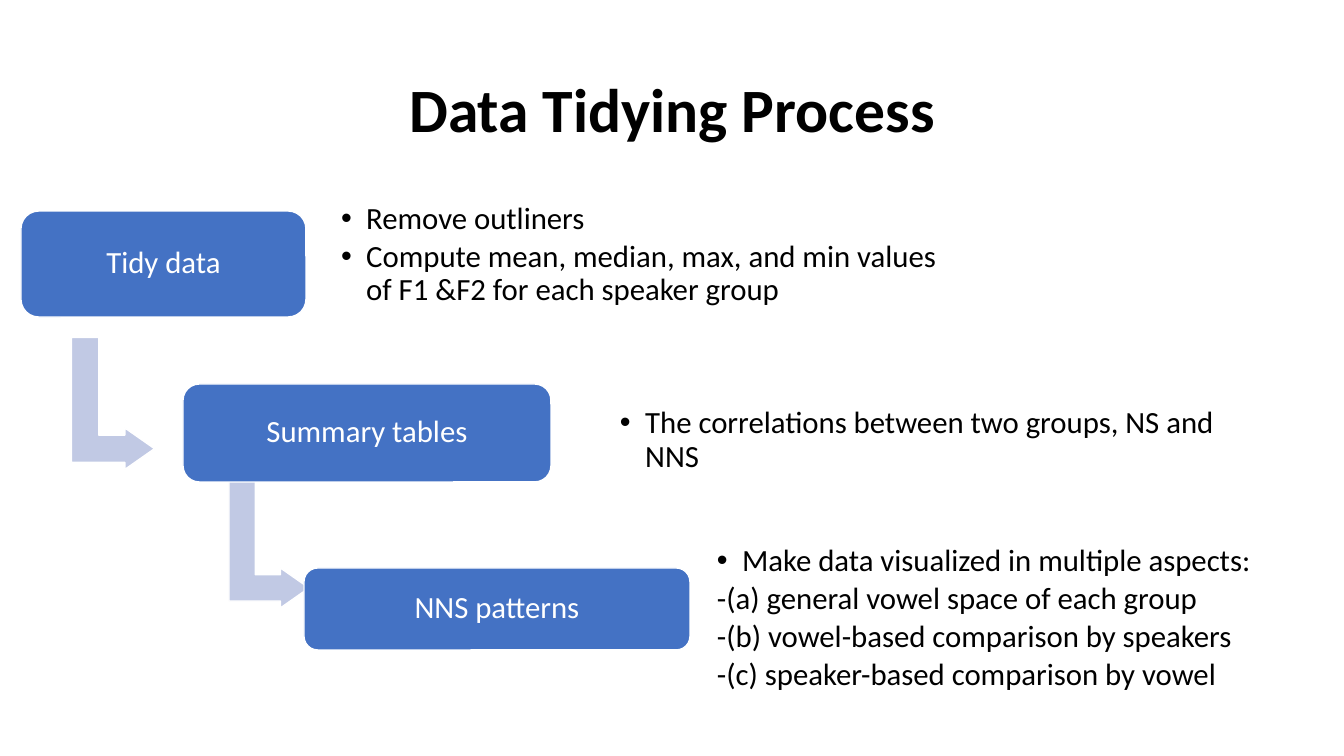
from dataclasses import dataclass

from lxml import etree
from pptx import Presentation
from pptx import util as u
from pptx.dml.color import RGBColor
from pptx.enum import shapes, text
from pptx.oxml.ns import qn

PX_PER_INCH = 100.8
FONT = "Calibri"
BLACK, WHITE, BLUE, PALE_BLUE = "000000", "FFFFFF", "4472C4", "C1C9E4"
BULLET = "•"


@dataclass(frozen=True)
class Box:
    left: int
    top: int
    width: int
    height: int

    def emu(self) -> list[int]:
        return [px(side) for side in (self.left, self.top, self.width, self.height)]


@dataclass(frozen=True)
class Step:
    label: str
    box: Box
    detail_box: Box
    bullets: tuple[str, ...]
    sub_points: tuple[str, ...] = ()
    arrow: Box | None = None


STEPS = (
    Step("Tidy data", Box(21, 211, 285, 106), Box(332, 193, 625, 125),
         ("Remove outliners",
          "Compute mean, median, max, and min values of F1 &F2 for each speaker group"),
         arrow=Box(47, 362, 132, 83)),
    Step("Summary tables", Box(183, 384, 368, 98), Box(611, 378, 615, 125),
         ("The correlations between two groups, NS and NNS",),
         arrow=Box(203, 502, 132, 80)),
    Step("NNS patterns", Box(304, 568, 386, 82), Box(708, 521, 636, 195),
         ("Make data visualized in multiple aspects:",),
         ("-(a) general vowel space of each group",
          "-(b) vowel-based comparison by speakers",
          "-(c) speaker-based comparison by vowel")),
)


def px(length: int) -> int:
    return u.Inches(length / PX_PER_INCH)


def colour(code: str) -> RGBColor:
    return RGBColor.from_string(code)


def add_run(paragraph, words: str, size: int, code: str, bold: bool = False) -> None:
    paragraph.line_spacing = 0.9
    run = paragraph.add_run()
    run.text = words
    run.font.name = FONT
    run.font.size = u.Pt(size)
    run.font.bold = bold
    run.font.color.rgb = colour(code)


def prepare_frame(frame) -> None:
    frame.word_wrap = True
    frame.vertical_anchor = text.MSO_ANCHOR.MIDDLE
    frame.margin_left = frame.margin_right = px(9)
    frame.margin_top = frame.margin_bottom = px(9)


def add_block(slide, kind, box: Box, fill: str, adjustments: tuple[float, ...]):
    shape = slide.shapes.add_shape(kind, *box.emu())
    shape.shadow.inherit = False
    shape.fill.solid()
    shape.fill.fore_color.rgb = colour(fill)
    shape.line.color.rgb = colour(WHITE)
    shape.line.width = u.Pt(1)
    for index, value in enumerate(adjustments):
        shape.adjustments[index] = value
    return shape


def add_details(slide, step: Step) -> None:
    frame = slide.shapes.add_textbox(*step.detail_box.emu()).text_frame
    prepare_frame(frame)
    for index, words in enumerate(step.bullets + step.sub_points):
        paragraph = frame.add_paragraph() if index else frame.paragraphs[0]
        add_run(paragraph, words, 22, BLACK)
        paragraph.space_after = u.Pt(3.3)
        properties = paragraph._p.get_or_add_pPr()
        properties.set("marL", str(u.Inches(0.25)))
        properties.set("indent", str(-u.Inches(0.25)))
        if index < len(step.bullets):
            etree.SubElement(properties, qn("a:buFont")).set("typeface", "Arial")
            etree.SubElement(properties, qn("a:buChar")).set("char", BULLET)


def add_step(slide, step: Step) -> None:
    if step.arrow:
        arrow = add_block(slide, shapes.MSO_SHAPE.BENT_UP_ARROW, step.arrow,
                          PALE_BLUE, (0.328, 0.25, 0.358))
        arrow.rotation = 90
    block = add_block(slide, shapes.MSO_SHAPE.ROUNDED_RECTANGLE, step.box, BLUE, (0.167,))
    prepare_frame(block.text_frame)
    paragraph = block.text_frame.paragraphs[0]
    paragraph.alignment = text.PP_ALIGN.CENTER
    add_run(paragraph, step.label, 22, WHITE)
    add_details(slide, step)


def add_title(slide, words: str) -> None:
    title = slide.shapes.title
    title.left, title.top, title.width, title.height = Box(93, 40, 1159, 146).emu()
    title.text_frame.vertical_anchor = text.MSO_ANCHOR.MIDDLE
    paragraph = title.text_frame.paragraphs[0]
    paragraph.alignment = text.PP_ALIGN.CENTER
    add_run(paragraph, words, 44, BLACK, bold=True)


def main() -> None:
    """Build the data tidying slide and save it."""
    presentation = Presentation()
    presentation.slide_width, presentation.slide_height = px(1344), px(756)
    slide = presentation.slides.add_slide(presentation.slide_layouts[5])
    add_title(slide, "Data Tidying Process")
    for step in STEPS:
        add_step(slide, step)
    presentation.save("out.pptx")


if __name__ == "__main__":
    main()
